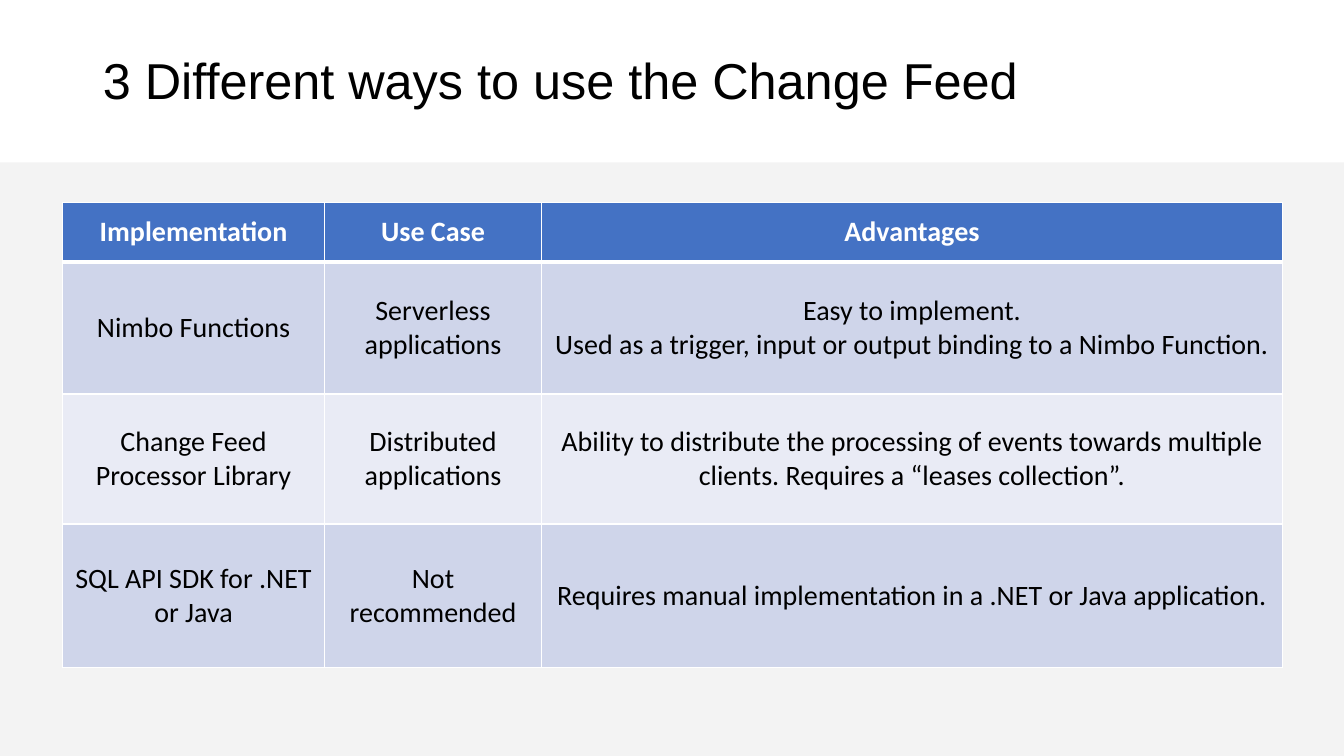
from dataclasses import dataclass

from lxml.etree import SubElement
from pptx import Presentation
from pptx.dml.color import RGBColor
from pptx.enum.shapes import MSO_SHAPE
from pptx.enum.text import MSO_ANCHOR, PP_ALIGN
from pptx.oxml.ns import qn
from pptx.util import Inches, Pt


@dataclass(frozen=True)
class Theme:
    title_font: str = "Arial"
    table_font: str = "Calibri"
    title_size: int = 36
    table_size: int = 20
    ink: str = "000000"
    white: str = "FFFFFF"
    panel: str = "F2F2F2"
    header: str = "4472C4"
    bands: tuple = ("CFD5EA", "E9EBF5")
    grid_line: int = 1
    header_line: int = 3


THEME = Theme()
COLUMN_WIDTHS = (2.6, 2.15, 7.35)
ROW_HEIGHTS = (0.59, 1.31, 1.29, 1.42)
ROWS = (
    ("Implementation", "Use Case", "Advantages"),
    ("Nimbo Functions", "Serverless applications",
     "Easy to implement.\nUsed as a trigger, input or output binding to a Nimbo Function."),
    ("Change Feed\nProcessor Library", "Distributed applications",
     "Ability to distribute the processing of events towards multiple clients. "
     "Requires a “leases collection”."),
    ("SQL API SDK for .NET or Java", "Not recommended",
     "Requires manual implementation in a .NET or Java application."),
)


def style_font(font, name, size, color, bold=False):
    font.name = name
    font.size = Pt(size)
    font.bold = bold
    font.color.rgb = RGBColor.from_string(color)


def add_panel(slide):
    panel = slide.shapes.add_shape(
        MSO_SHAPE.RECTANGLE, 0, Inches(1.61), Inches(13.33), Inches(5.89))
    panel.shadow.inherit = False
    panel.line.fill.background()
    panel.fill.solid()
    panel.fill.fore_color.rgb = RGBColor.from_string(THEME.panel)
    color = panel.fill._xPr.find(f"{qn('a:solidFill')}/{qn('a:srgbClr')}")
    SubElement(color, qn("a:alpha"), val="89000")


def set_title(slide, text):
    title = slide.shapes.title
    title.left, title.top = Inches(0.92), Inches(0.1)
    title.width, title.height = Inches(11.5), Inches(1.45)
    frame = title.text_frame
    frame.text = text
    frame.word_wrap = True
    frame.vertical_anchor = MSO_ANCHOR.MIDDLE
    heading = frame.paragraphs[0]
    heading.alignment = PP_ALIGN.LEFT
    heading.line_spacing = 0.9
    style_font(heading.font, THEME.title_font, THEME.title_size, THEME.ink)


def set_borders(cell, top, bottom):
    properties = cell._tc.get_or_add_tcPr()
    sides = {"L": THEME.grid_line, "R": THEME.grid_line, "T": top, "B": bottom}
    for side, width in sides.items():
        line = SubElement(properties, qn(f"a:ln{side}"), w=str(Pt(width)))
        fill = SubElement(line, qn("a:solidFill"))
        SubElement(fill, qn("a:srgbClr"), val=THEME.white)


def fill_cell(cell, text, row):
    is_header = row == 0
    set_borders(cell,
                top=THEME.header_line if row == 1 else THEME.grid_line,
                bottom=THEME.header_line if is_header else THEME.grid_line)
    cell.fill.solid()
    cell.fill.fore_color.rgb = RGBColor.from_string(
        THEME.header if is_header else THEME.bands[(row - 1) % 2])
    cell.vertical_anchor = MSO_ANCHOR.MIDDLE
    cell.text = text
    for paragraph in cell.text_frame.paragraphs:
        paragraph.alignment = PP_ALIGN.CENTER
        style_font(paragraph.font, THEME.table_font, THEME.table_size,
                   THEME.white if is_header else THEME.ink, is_header)


def add_comparison(slide):
    comparison = slide.shapes.add_table(
        len(ROWS), len(COLUMN_WIDTHS), Inches(0.62), Inches(2.01),
        Inches(sum(COLUMN_WIDTHS)), Inches(sum(ROW_HEIGHTS))).table
    for column, width in zip(comparison.columns, COLUMN_WIDTHS):
        column.width = Inches(width)
    for row, height in zip(comparison.rows, ROW_HEIGHTS):
        row.height = Inches(height)
    for row, texts in enumerate(ROWS):
        for column, text in enumerate(texts):
            fill_cell(comparison.cell(row, column), text, row)


def main():
    deck = Presentation()
    deck.slide_width, deck.slide_height = Inches(13.33), Inches(7.5)
    slide = deck.slides.add_slide(deck.slide_layouts.get_by_name("Title Only"))
    add_panel(slide)
    set_title(slide, "3 Different ways to use the Change Feed")
    add_comparison(slide)
    deck.save("out.pptx")


if __name__ == "__main__":
    main()
